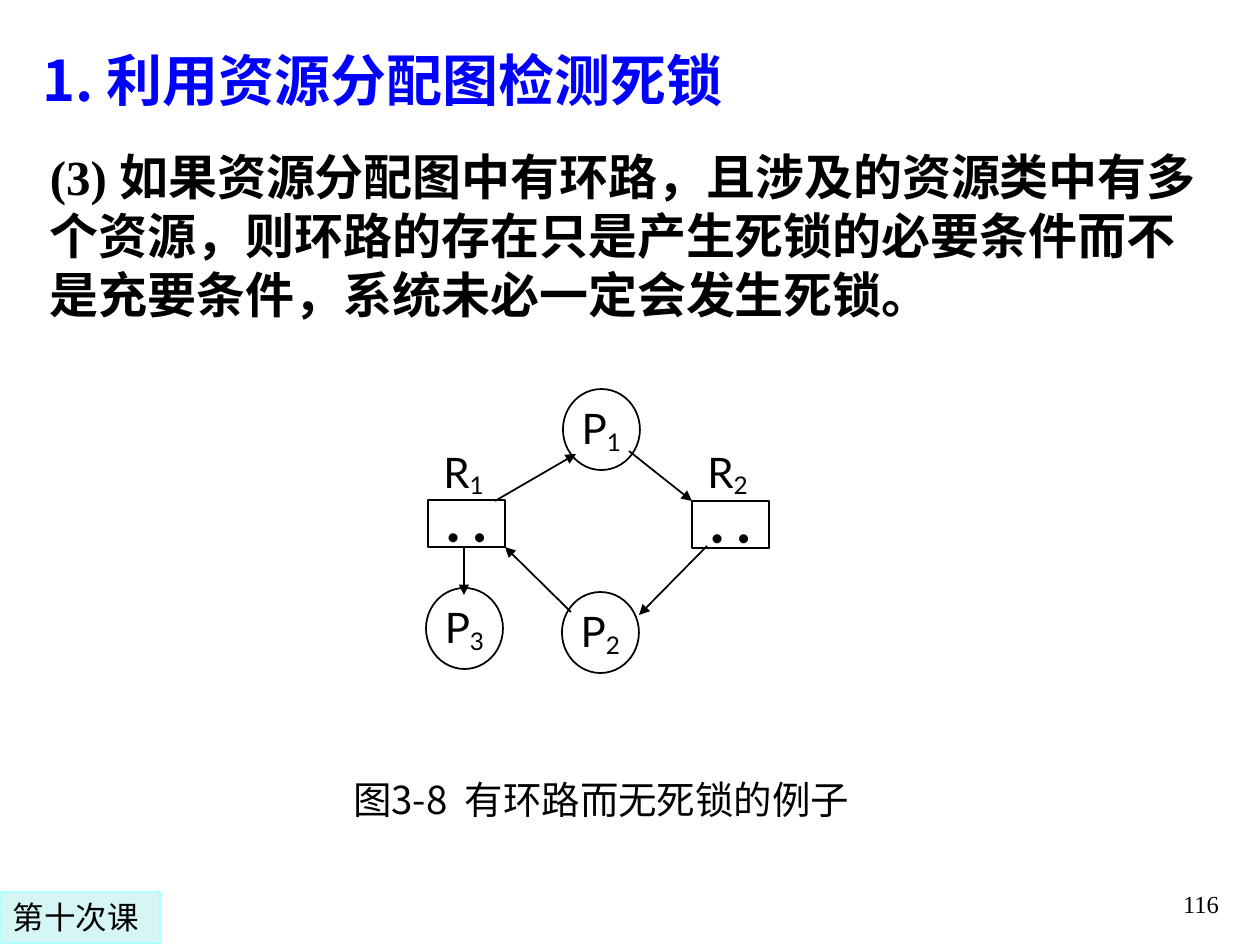
from pptx import Presentation
from pptx.dml.color import RGBColor
from pptx.enum.shapes import MSO_CONNECTOR, MSO_SHAPE
from pptx.enum.text import MSO_ANCHOR, PP_ALIGN
from pptx.oxml.ns import qn
from pptx.util import Pt
from lxml.etree import SubElement

EMU_PER_PX = 914400 / 126
COLORS = {"ink": "000000", "title": "0000FF", "tag": "D6F5F5", "tag_line": "ADFFFF"}
SANS, SERIF, CJK, TAG_FONT = "Lato", "Times New Roman", "Noto Sans CJK SC", "DejaVu Sans"

TITLE = "1. 利用资源分配图检测死锁"
BODY = [
    ("(3) ", SERIF),
    ("如果资源分配图中有环路，且涉及的资源类中有多个资源，"
     "则环路的存在只是产生死锁的必要条件而不是充要条件，系统未必一定会发生死锁。", SANS),
]
CAPTION = "图3-8  有环路而无死锁的例子"
TAG = "第十次课"
PAGE_NUMBER = "116"

# Graph: subscript, left, top
PROCESSES = [("1", 563, 389), ("2", 562, 592), ("3", 426, 588)]
RESOURCES = [("1", 428, 500), ("2", 692, 501)]
PROCESS_SIZE, RESOURCE_SIZE = (77, 81), (77, 47)
LABEL_TOP, LABEL_SIZE = 440, (111, 67)
# Arrows: from x, from y, to x, to y
ARROWS = [
    (495, 501, 576, 454),  # R1 to P1
    (629, 451, 692, 501),  # P1 to R2
    (464, 548, 464, 595),  # R1 to P3
    (571, 612, 505, 547),  # P2 to R1
    (707, 546, 639, 615),  # R2 to P2
]


def px(value):
    return round(value * EMU_PER_PX)


def color(name):
    return RGBColor.from_string(COLORS[name])


def add_run(paragraph, text, size, font=SANS, bold=False, ink="ink", subscript=False):
    run = paragraph.add_run()
    run.text = text
    run.font.size = Pt(size)
    run.font.name = font
    run.font.bold = bold
    run.font.color.rgb = color(ink)
    properties = run._r.get_or_add_rPr()
    SubElement(properties, qn("a:ea")).set("typeface", font)
    if subscript:
        properties.set("baseline", "-16000")


def set_frame(shape, margins=(13, 6), anchor=MSO_ANCHOR.TOP, align=PP_ALIGN.LEFT, wrap=True):
    frame = shape.text_frame
    frame.word_wrap = wrap
    frame.vertical_anchor = anchor
    frame.margin_left = frame.margin_right = px(margins[0])
    frame.margin_top = frame.margin_bottom = px(margins[1])
    paragraph = frame.paragraphs[0]
    paragraph.alignment = align
    return paragraph


def add_text(slide, left, top, width, height, **frame_options):
    box = slide.shapes.add_textbox(px(left), px(top), px(width), px(height))
    return set_frame(box, **frame_options)


def add_box(slide, kind, left, top, width, height, line="ink", weight=1, fill=None):
    shape = slide.shapes.add_shape(kind, px(left), px(top), px(width), px(height))
    shape.shadow.inherit = False
    if fill:
        shape.fill.solid()
        shape.fill.fore_color.rgb = color(fill)
    else:
        shape.fill.background()
    shape.line.color.rgb = color(line)
    shape.line.width = Pt(weight)
    return shape


def add_node(slide, kind, left, top, size):
    shape = add_box(slide, kind, left, top, *size)
    return set_frame(shape, (8, 1), MSO_ANCHOR.MIDDLE, PP_ALIGN.CENTER, wrap=False)


def add_symbol(paragraph, letter, subscript):
    add_run(paragraph, letter, 24)
    add_run(paragraph, subscript, 24, subscript=True)


def add_arrow(slide, *ends):
    arrow = slide.shapes.add_connector(MSO_CONNECTOR.STRAIGHT, *map(px, ends))
    arrow.line.color.rgb = color("ink")
    arrow.line.width = Pt(1)
    SubElement(arrow.line._get_or_add_ln(), qn("a:tailEnd")).set("type", "triangle")
    SubElement(arrow._element.spPr, qn("a:effectLst"))


def main():
    presentation = Presentation()
    presentation.slide_width, presentation.slide_height = px(1260), px(945)
    slide = presentation.slides.add_slide(presentation.slide_layouts[6])

    # Page number, body and caption
    number = add_text(slide, 970, 861, 262, 63, margins=(13, 6),
                      anchor=MSO_ANCHOR.BOTTOM, align=PP_ALIGN.RIGHT)
    add_run(number, PAGE_NUMBER, 14, SERIF)
    body = add_text(slide, 37, 141, 1196, 189)
    for text, font in BODY:
        add_run(body, text, 28, font, bold=True)
    caption = add_text(slide, 307, 770, 588, 59, align=PP_ALIGN.CENTER)
    add_run(caption, CAPTION, 22, CJK)

    # Resource allocation graph
    for subscript, left, top in PROCESSES:
        add_symbol(add_node(slide, MSO_SHAPE.OVAL, left, top, PROCESS_SIZE), "P", subscript)
    for subscript, left, top in RESOURCES:
        units = add_node(slide, MSO_SHAPE.RECTANGLE, left, top, RESOURCE_SIZE)
        add_run(units, "•  •", 24, subscript=True)
        label_left = left + (RESOURCE_SIZE[0] - LABEL_SIZE[0]) / 2 - 3
        label = add_text(slide, label_left, LABEL_TOP, *LABEL_SIZE, align=PP_ALIGN.CENTER)
        add_symbol(label, "R", subscript)
    for ends in ARROWS:
        add_arrow(slide, *ends)

    # Lesson tag and title
    tag = add_box(slide, MSO_SHAPE.RECTANGLE, 0, 892, 160, 51, "tag_line", 0.75, "tag")
    add_run(set_frame(tag), TAG, 18, TAG_FONT)
    title = add_text(slide, 29, 40, 1163, 81)
    add_run(title, TITLE, 32, CJK, bold=True, ink="title")

    presentation.save("out.pptx")


if __name__ == "__main__":
    main()
